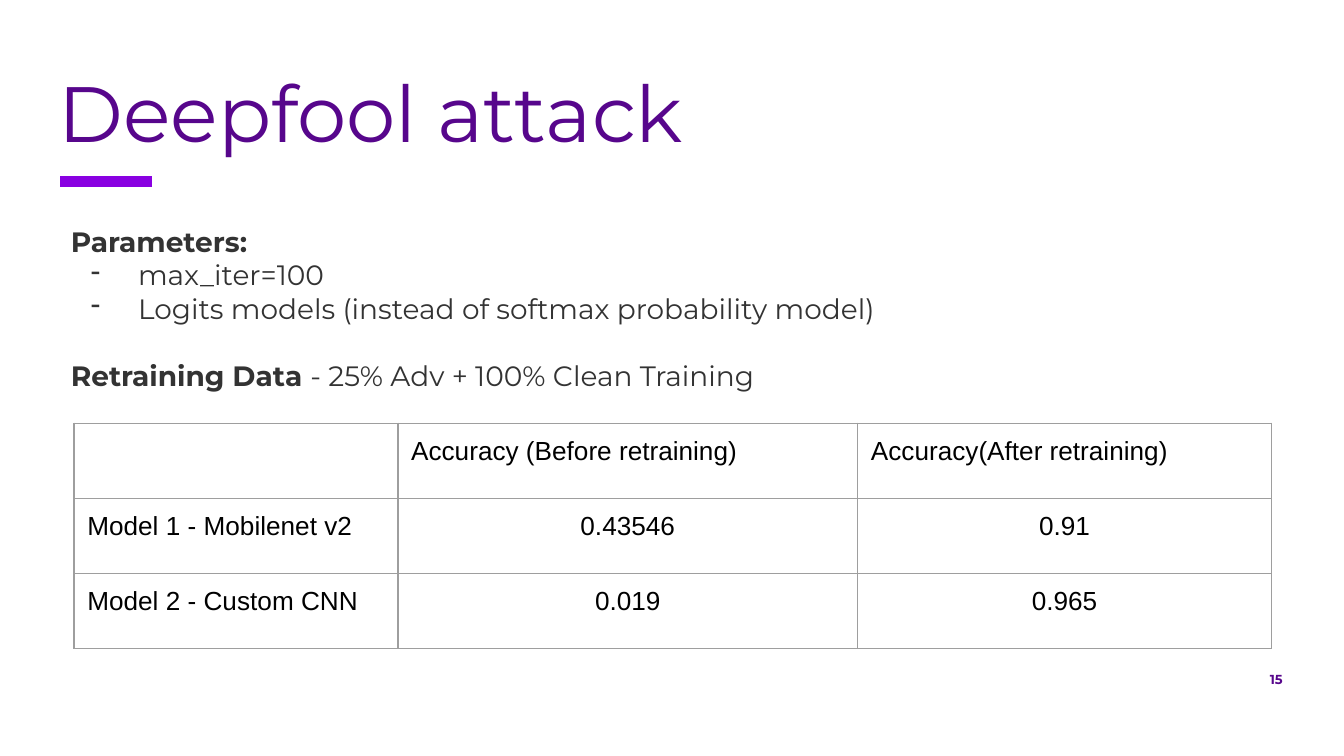
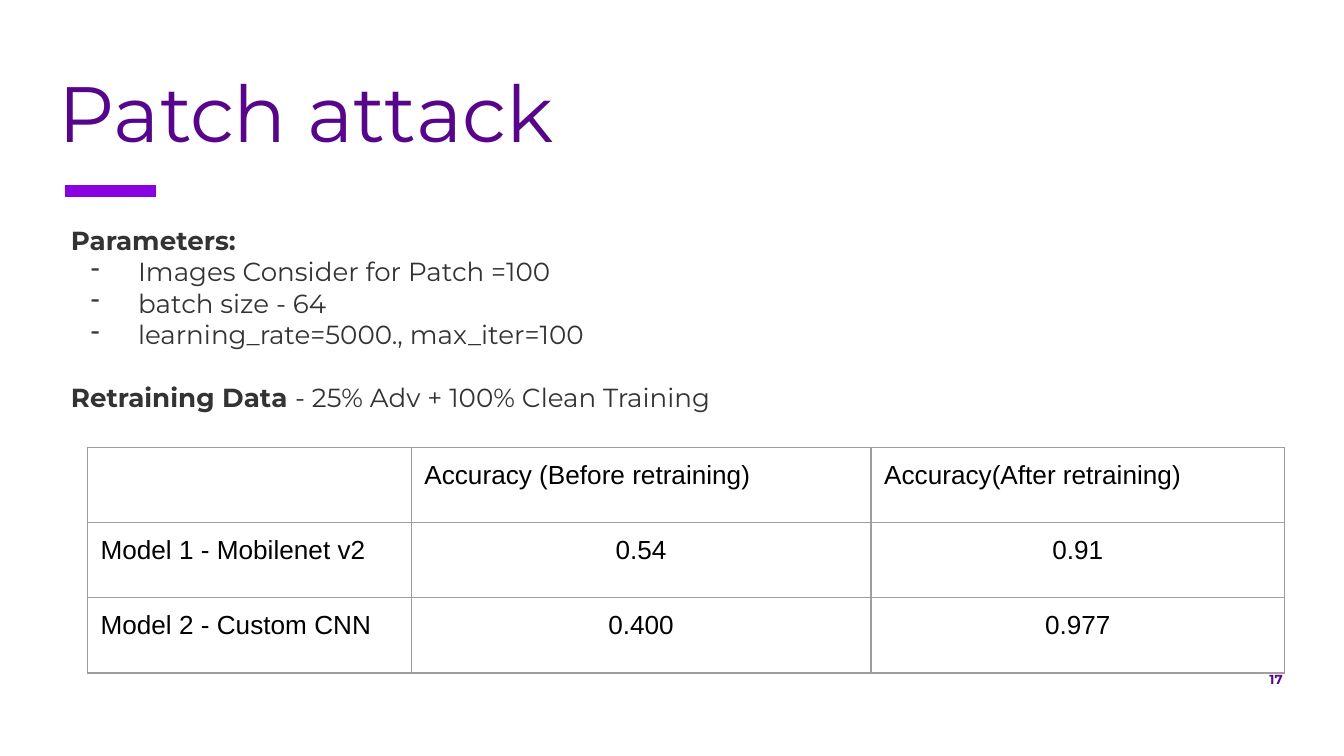
import pptx
import pptx.dml.color
import pptx.enum.shapes
import pptx.enum.text
import pptx.oxml
import pptx.oxml.ns
import pptx.util

Cm = pptx.util.Cm
Pt = pptx.util.Pt
ALIGN = pptx.enum.text.PP_ALIGN

COLORS = {
    "title": "57068C",
    "rule": "8900E1",
    "body": "333333",
    "border": "9E9E9E",
    "cell": "000000",
}
FORMATS = {
    "title": {"name": "Montserrat", "size": Pt(42), "bold": False},
    "number": {"name": "Montserrat", "size": Pt(7), "bold": True},
    "body": {"name": "Montserrat", "bold": False},
    "cell": {"name": "Arial", "size": Pt(14), "bold": False},
}
INSET = Cm(0.25)
COLUMN_WIDTHS = (6.12, 8.69, 7.82)
ROW_HEIGHT = 1.42
HEADER = ("", "Accuracy (Before retraining)", "Accuracy(After retraining)")
MODELS = ("Model 1 - Mobilenet v2", "Model 2 - Custom CNN")
RETRAINING = (("Retraining Data ", True), ("- 25% Adv + 100% Clean Training", False))

ATTACKS = (
    {
        "title": "Deepfool attack",
        "number": "15",
        "rule": (1.14, 3.43),
        "table": (1.4, 8.0),
        "size": 15,
        "parameters": (
            "max_iter=100",
            "Logits models (instead of softmax probability model)",
        ),
        "accuracy": (("0.43546", "0.91"), ("0.019", "0.965")),
    },
    {
        "title": "Patch attack",
        "number": "17",
        "rule": (1.22, 3.61),
        "table": (1.65, 8.46),
        "size": 14,
        "parameters": (
            "Images Consider for Patch =100",
            "batch size - 64",
            "learning_rate=5000., max_iter=100",
        ),
        "accuracy": (("0.54", "0.91"), ("0.400", "0.977")),
    },
)


def rgb(color):
    return pptx.dml.color.RGBColor.from_string(COLORS[color])


def set_values(target, values):
    for name, value in values.items():
        setattr(target, name, value)


def set_insets(target):
    for side in ("left", "top", "right", "bottom"):
        setattr(target, f"margin_{side}", INSET)


def add_run(paragraph, text, style, color, **changes):
    run = paragraph.add_run()
    run.text = text
    set_values(run.font, {**FORMATS[style], **changes})
    run.font.color.rgb = rgb(color)


def add_text_frame(slide, left, top, width, height):
    box = slide.shapes.add_textbox(Cm(left), Cm(top), Cm(width), Cm(height))
    box.text_frame.word_wrap = True
    set_insets(box.text_frame)
    return box.text_frame


def add_title(slide, text):
    paragraph = add_text_frame(slide, 0.86, 1.24, 23.39, 3.18).paragraphs[0]
    paragraph.line_spacing = 0.85
    add_run(paragraph, text, "title", "title")


def add_number(slide, text):
    paragraph = add_text_frame(slide, 12.83, 12.55, 11.66, 0.86).paragraphs[0]
    paragraph.alignment = ALIGN.RIGHT
    add_run(paragraph, text, "number", "title")


def add_rule(slide, left, top):
    rule = slide.shapes.add_connector(
        pptx.enum.shapes.MSO_CONNECTOR.STRAIGHT,
        Cm(left), Cm(top), Cm(left + 1.73), Cm(top),
    )
    rule.line.color.rgb = rgb("rule")
    rule.line.width = Pt(6)
    pptx.oxml.ns.qn("a:effectLst")
    add_element(rule.element.spPr, "<a:effectLst {ns}/>")


def add_element(parent, markup):
    namespace = pptx.oxml.ns.nsdecls("a")
    parent.append(pptx.oxml.parse_xml(markup.format(ns=namespace)))


def add_dash(paragraph):
    properties = paragraph._p.get_or_add_pPr()
    properties.set("marL", str(Cm(1.27)))
    properties.set("indent", str(-Cm(0.89)))
    color = COLORS["body"]
    add_element(properties, f'<a:buClr {{ns}}><a:srgbClr val="{color}"/></a:buClr>')
    add_element(properties, '<a:buChar {ns} char="-"/>')


def add_body(slide, parameters, size):
    frame = add_text_frame(slide, 1.09, 3.99, 22.45, 4.24)
    font_size = Pt(size)
    add_run(frame.paragraphs[0], "Parameters:", "body", "body", size=font_size, bold=True)
    for parameter in parameters:
        paragraph = frame.add_paragraph()
        add_dash(paragraph)
        add_run(paragraph, parameter, "body", "body", size=font_size)
    paragraph = frame.add_paragraph()
    paragraph.space_before = Pt(size * 1.2)
    for text, bold in RETRAINING:
        add_run(paragraph, text, "body", "body", size=font_size, bold=bold)


def set_borders(cell):
    properties = cell._tc.get_or_add_tcPr()
    color = COLORS["border"]
    for side in ("lnL", "lnR", "lnT", "lnB"):
        add_element(
            properties,
            f'<a:{side} {{ns}} w="{Pt(0.75)}"><a:solidFill>'
            f'<a:srgbClr val="{color}"/></a:solidFill></a:{side}>',
        )


def add_accuracy_table(slide, left, top, accuracy):
    rows = [HEADER] + [(model, *values) for model, values in zip(MODELS, accuracy)]
    table = slide.shapes.add_table(
        len(rows), len(HEADER), Cm(left), Cm(top),
        Cm(sum(COLUMN_WIDTHS)), Cm(ROW_HEIGHT * len(rows)),
    ).table
    set_values(table, {"first_row": False, "horz_banding": False})
    for column, width in zip(table.columns, COLUMN_WIDTHS):
        column.width = Cm(width)
    for row_index, values in enumerate(rows):
        table.rows[row_index].height = Cm(ROW_HEIGHT)
        for column_index, text in enumerate(values):
            cell = table.cell(row_index, column_index)
            set_insets(cell)
            set_borders(cell)
            cell.fill.background()
            paragraph = cell.text_frame.paragraphs[0]
            if row_index and column_index:
                paragraph.alignment = ALIGN.CENTER
            if text:
                add_run(paragraph, text, "cell", "cell")


def add_attack_slide(presentation, attack):
    slide = presentation.slides.add_slide(presentation.slide_layouts[6])
    add_number(slide, attack["number"])
    add_title(slide, attack["title"])
    add_rule(slide, *attack["rule"])
    add_accuracy_table(slide, *attack["table"], attack["accuracy"])
    add_body(slide, attack["parameters"], attack["size"])


def main():
    presentation = pptx.Presentation()
    set_values(presentation, {"slide_width": Cm(25.4), "slide_height": Cm(14.29)})
    for attack in ATTACKS:
        add_attack_slide(presentation, attack)
    presentation.save("out.pptx")


if __name__ == "__main__":
    main()
